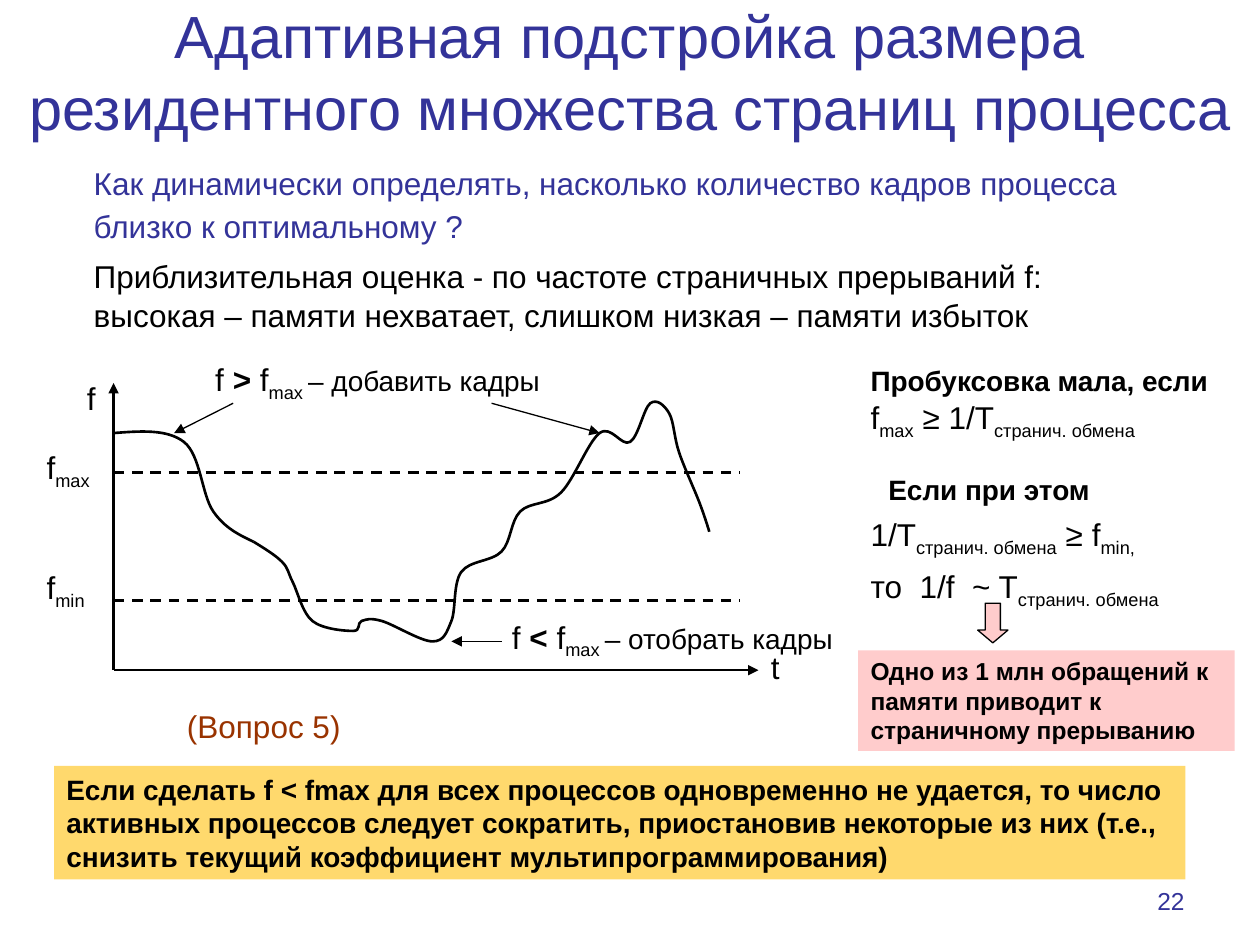
import pptx
import pptx.dml.color
import pptx.enum.dml
import pptx.enum.shapes
import pptx.enum.text
import pptx.oxml
import pptx.oxml.ns
import pptx.util
from lxml import etree

Cm = pptx.util.Cm
COLORS = {"ink": "000000", "heading": "333399", "accent": "993300",
          "pink": "FFCCCC", "yellow": "FFD96D"}
FALLING = [(0, 4.78), (1.42, 4.6), (2.01, 3.2), (2.82, 2.59)]
RECOVERING = [(2.82, 2.59), (3.4, 2.18), (3.61, 1.78), (4.01, 0.99), (4.83, 0.79),
              (5, 0.99), (5.41, 0.99), (6.43, 0.58), (6.81, 0.99), (7.01, 1.98),
              (7.82, 2.39), (8.2, 3.2), (9.02, 3.58), (9.8, 4.78), (10.41, 4.6),
              (10.82, 5.38), (11.2, 5.18), (11.4, 4.39), (11.81, 3.38), (12.01, 2.79)]


def rgb(name):
    """Return the named palette colour."""
    return pptx.dml.color.RGBColor.from_string(COLORS[name])


def write(paragraph, text, size=18, color="ink", bold=False, before=0, spacing=None):
    """Append text to a paragraph, with pieces between bars as subscripts."""
    paragraph.space_before = pptx.util.Pt(before)
    if spacing:
        paragraph.line_spacing = spacing
    for index, piece in enumerate(text.split("|")):
        if not piece:
            continue
        run = paragraph.add_run()
        run.text = piece
        run.font.name = "Arial"
        run.font.size = pptx.util.Pt(size)
        run.font.bold = bold
        run.font.color.rgb = rgb(color)
        if index % 2:
            run._r.get_or_add_rPr().set("baseline", "-25000")
    return paragraph


def text_area(slide, left, top, width, height, inset=0.25, inset_top=0.13):
    """Add a wrapping text box and return its text frame."""
    frame = slide.shapes.add_textbox(Cm(left), Cm(top), Cm(width), Cm(height)).text_frame
    frame.word_wrap = True
    frame.margin_left, frame.margin_top = Cm(inset), Cm(inset_top)
    return frame


def callout(slide, left, top, width, height, text, size, fill):
    """Add a filled rectangle holding a bold statement."""
    panel = slide.shapes.add_shape(pptx.enum.shapes.MSO_SHAPE.RECTANGLE,
                                   Cm(left), Cm(top), Cm(width), Cm(height))
    panel.shadow.inherit = False
    panel.fill.solid()
    panel.fill.fore_color.rgb = rgb(fill)
    panel.line.fill.background()
    frame = panel.text_frame
    frame.word_wrap = True
    frame.vertical_anchor = pptx.enum.text.MSO_ANCHOR.TOP
    statement = write(frame.paragraphs[0], text, size=size, bold=True)
    statement.alignment = pptx.enum.text.PP_ALIGN.LEFT


def segment(slide, start, end, weight=1.5, dashed=False, arrow=False):
    """Draw a straight line between two points given in centimetres."""
    line = slide.shapes.add_connector(pptx.enum.shapes.MSO_CONNECTOR.STRAIGHT,
                                      *[Cm(value) for value in (*start, *end)])
    line.line.width = pptx.util.Pt(weight)
    line.line.color.rgb = rgb("ink")
    if dashed:
        line.line.dash_style = pptx.enum.dml.MSO_LINE.DASH
    qn = pptx.oxml.ns.qn
    if arrow:
        etree.SubElement(line.line._get_or_add_ln(), qn("a:tailEnd"), type="triangle")
    etree.SubElement(line._element.spPr, qn("a:effectLst"))


def smooth_points(knots):
    """Return the Bezier points that lead smoothly through the knots."""
    def shifted(index, sign):
        (x0, y0), (x, y), (x1, y1) = knots[index - 1:index + 2]
        return x + sign * (x1 - x0) / 6, y + sign * (y1 - y0) / 6

    def midpoint(a, b):
        return (a[0] + b[0]) / 2, (a[1] + b[1]) / 2

    last = len(knots) - 1
    points = []
    for index in range(last):
        leave = shifted(index, 1) if index else midpoint(knots[0], shifted(1, -1))
        arrive = shifted(index + 1, -1) if index + 1 < last else midpoint(leave, knots[last])
        points += [leave, arrive, knots[index + 1]]
    return points


def curve(slide, knots, place):
    """Draw a smooth open curve through knots mapped by place."""
    points = [tuple(Cm(value) for value in place(*point))
              for point in [knots[0], *smooth_points(knots)]]
    builder = slide.shapes.build_freeform(*points[0])
    builder.add_line_segments(points[1:], close=False)
    trace = builder.convert_to_shape()
    trace.shadow.inherit = False
    trace.fill.background()
    trace.line.color.rgb = rgb("ink")
    trace.line.width = pptx.util.Pt(1.5)
    steps = trace._element.xpath(".//a:lnTo")
    for first in range(0, len(steps), 3):
        bezier = etree.Element(pptx.oxml.ns.qn("a:cubicBezTo"))
        steps[first].addprevious(bezier)
        for step in steps[first:first + 3]:
            bezier.append(step[0])
            step.getparent().remove(step)


def heading(slide, left, top, width, height):
    """Place and format the slide title."""
    title = slide.shapes.title
    title.left, title.top, title.width, title.height = map(Cm, (left, top, width, height))
    frame = title.text_frame
    frame.auto_size = pptx.enum.text.MSO_AUTO_SIZE.NONE
    frame.vertical_anchor = pptx.enum.text.MSO_ANCHOR.MIDDLE
    line = write(frame.paragraphs[0],
                 "Адаптивная подстройка размера резидентного множества страниц процесса",
                 size=34, color="heading", spacing=1.0)
    line.alignment = pptx.enum.text.PP_ALIGN.CENTER


def question(slide, left, top, width, height):
    """Write the question and its approximate answer."""
    frame = text_area(slide, left, top, width, height, inset=1.2, inset_top=0.48)
    write(frame.paragraphs[0], "Как динамически определять, насколько количество кадров "
          "процесса близко к оптимальному ?", color="heading", spacing=1.14)
    write(frame.add_paragraph(),
          "Приблизительная оценка - по частоте страничных прерываний f:", before=6.8)
    write(frame.add_paragraph(),
          "высокая – памяти нехватает, слишком низкая – памяти избыток", before=1)


def frequency_plot(slide, left, top):
    """Draw the fault frequency over time with its two thresholds."""
    def place(x, y):
        return left + 1.6 + x, top + 6.37 - y

    for end in ((0, 5.79), (13, 0)):
        segment(slide, place(0, 0), place(*end), arrow=True)
    for level in (1.4, 3.99):
        segment(slide, place(0, level), place(12.62, level), dashed=True)
    for knots in (FALLING, RECOVERING):
        curve(slide, knots, place)
    for text, x, y, width in (("f", -0.79, 5.99, 1), ("t", 13, 0.58, 1),
                              ("f|max|", -1.6, 4.6, 1.8), ("f|min|", -1.6, 2.18, 1.8)):
        write(text_area(slide, *place(x, y), width, 1.1).paragraphs[0], text)
    for sign, action, x, y, inset in ((">", "добавить", 1.8, 6.38, 0.25),
                                      ("<", "отобрать", 7.62, 1.19, 0.41)):
        rule = text_area(slide, *place(x, y), 7.39, 1.12, inset=inset).paragraphs[0]
        write(rule, "f ")
        write(rule, sign + " ", bold=True)
        write(rule, "f|max |")
        write(rule, f"– {action} кадры", size=16)
    for start, end in (((2.41, 5.38), (1.22, 4.78)), ((7.62, 5.38), (9.8, 4.78)),
                       ((7.82, 0.58), (6.81, 0.58))):
        segment(slide, place(*start), place(*end), weight=0.75, arrow=True)


def conditions(slide, left, top, width):
    """Write the thrashing conditions and the result they lead to."""
    frame = text_area(slide, left, top, width, 5.28, inset_top=0.19)
    write(frame.paragraphs[0], "Пробуксовка мала, если", size=16, bold=True)
    write(frame.add_paragraph(), "f|max| ≥ 1/T|странич. обмена|", before=0.5)
    also = write(frame.add_paragraph(), "Если при этом", size=16, bold=True, before=18)
    also._p.get_or_add_pPr().set("marL", str(Cm(0.36)))
    write(frame.add_paragraph(), "1/T|странич. обмена| ≥ f|min,|", before=5.3)
    write(frame.add_paragraph(), "то  1/f  ~ T|странич. обмена|", before=5)
    callout(slide, left, top + 5.97, 7.59, 2.03,
            "Одно из 1 млн обращений к памяти приводит к страничному прерыванию", 14, "pink")
    pointer = slide.shapes.add_shape(pptx.enum.shapes.MSO_SHAPE.DOWN_ARROW,
                                     Cm(left + 2.41), Cm(top + 5.02), Cm(0.61), Cm(0.8))
    pointer.adjustments[1] = 0.42
    pointer.shadow.inherit = False
    pointer.fill.solid()
    pointer.fill.fore_color.rgb = rgb("pink")
    pointer.line.color.rgb = rgb("ink")
    pointer.line.width = pptx.util.Pt(0.75)


def footer(slide, left, top):
    """Add the exam reference, the conclusion and the page number."""
    reference = text_area(slide, left + 1.02, top, 6.4, 1.02, inset=1.66)
    write(reference.paragraphs[0], "(Вопрос 5)", color="accent")
    callout(slide, left, top + 1.32, 22.81, 2.29,
            "Если сделать f < fmax для всех процессов одновременно не удается, то число "
            "активных процессов следует сократить, приостановив некоторые из них (т.е., "
            "снизить текущий коэффициент мультипрограммирования)", 16, "yellow")
    page = text_area(slide, left + 17.12, top + 3.61, 5.92, 1.32)
    number = write(page.paragraphs[0], "22", size=14, color="heading")
    number.alignment = pptx.enum.text.PP_ALIGN.RIGHT


def main():
    """Build the slide and save it."""
    deck = pptx.Presentation()
    deck.slide_width, deck.slide_height = Cm(25.4), Cm(19.05)
    slide = deck.slides.add_slide(deck.slide_layouts[5])
    heading(slide, 0, -0.48, 25.4, 3.81)
    question(slide, 0.69, 2.72, 23.47, 14.81)
    frequency_plot(slide, 0.69, 7.14)
    conditions(slide, 17.3, 7.14, 7.8)
    footer(slide, 1.09, 14.12)
    deck.save("out.pptx")


if __name__ == "__main__":
    main()
